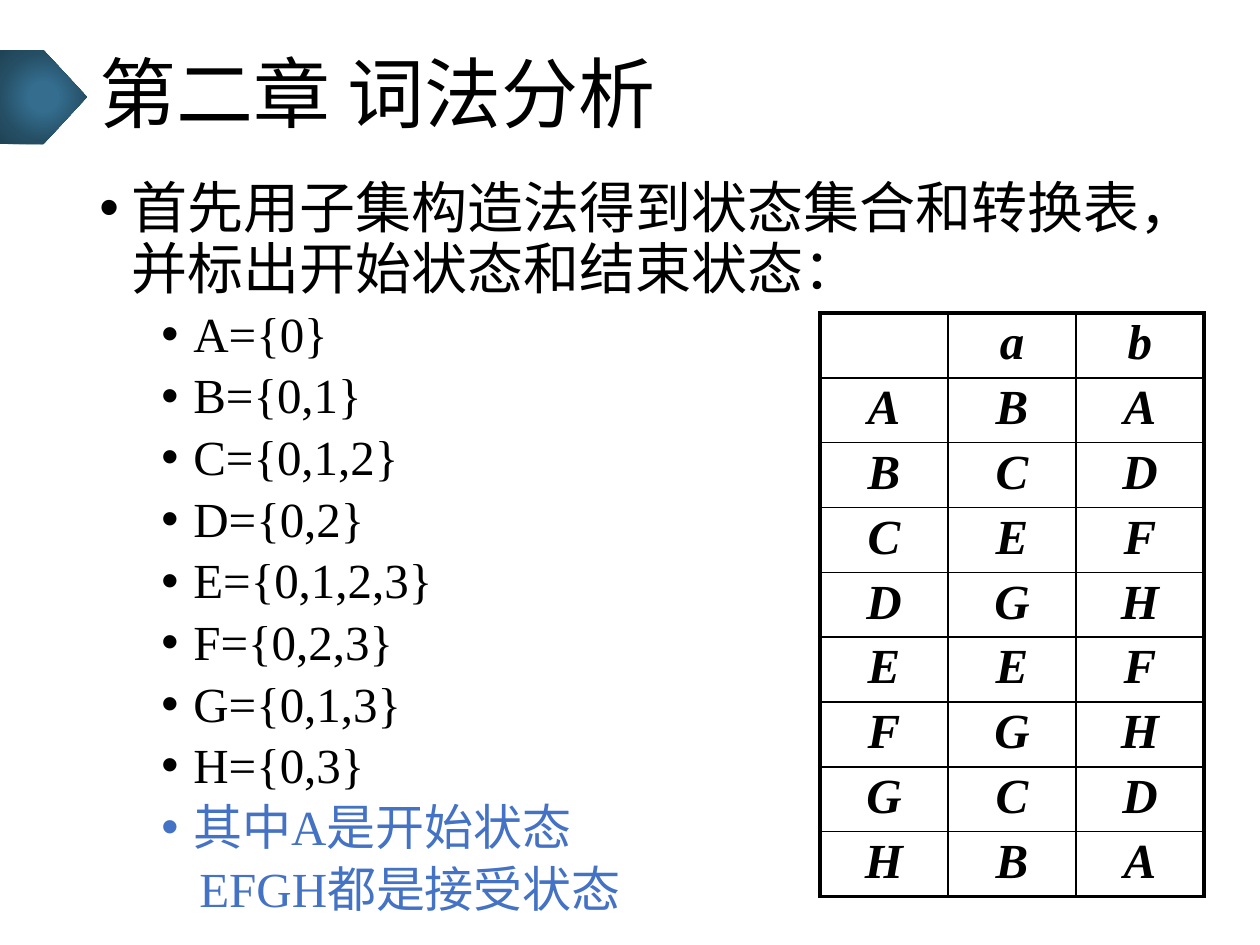
from dataclasses import dataclass

from lxml import etree
from pptx import Presentation
from pptx.dml.color import RGBColor
from pptx.enum.lang import MSO_LANGUAGE_ID
from pptx.enum.shapes import MSO_SHAPE
from pptx.enum.text import MSO_ANCHOR, MSO_AUTO_SIZE, PP_ALIGN
from pptx.oxml.ns import qn
from pptx.util import Emu, Pt

HOME_PLATE = MSO_SHAPE.PENTAGON
LEFT, CENTER = PP_ALIGN.LEFT, PP_ALIGN.CENTER
MIDDLE = MSO_ANCHOR.MIDDLE
NO_AUTOFIT = MSO_AUTO_SIZE.NONE
CHINESE = MSO_LANGUAGE_ID.SIMPLIFIED_CHINESE

PX_PER_INCH = 126
FONT = "Times New Roman"
COLORS = {
    "text": "000000",
    "accent": "4472C4",
    "arrow_core": "346D8E",
    "arrow_mid": "254E64",
    "arrow_edge": "204457",
}
ARROW_STOPS = [(0, "arrow_core"), (23, "arrow_core"), (69, "arrow_mid"), (97, "arrow_edge")]


@dataclass
class Box:
    x: int
    y: int
    w: int
    h: int


@dataclass
class Item:
    text: str
    size: int = 28
    color: str = "text"
    margin: int = 94
    bullet: bool = True
    before: int = 5


STATE_SETS = ["A={0}", "B={0,1}", "C={0,1,2}", "D={0,2}",
              "E={0,1,2,3}", "F={0,2,3}", "G={0,1,3}", "H={0,3}"]
ITEMS = [
    Item("首先用子集构造法得到状态集合和转换表，并标出开始状态和结束状态：", 32, margin=32, before=0),
    *[Item(s) for s in STATE_SETS],
    Item("其中A是开始状态", color="accent"),
    Item("EFGH都是接受状态", color="accent", margin=100, bullet=False),
]
TRANSITIONS = [" ab", "ABA", "BCD", "CEF", "DGH", "EEF", "FGH", "GCD", "HBA"]


def px(n: int) -> Emu:
    return Emu(round(n * 914400 / PX_PER_INCH))


def place(box: Box) -> tuple[Emu, Emu, Emu, Emu]:
    return px(box.x), px(box.y), px(box.w), px(box.h)


def style(p, size: int, color: str, bold: bool = False, italic: bool = False) -> None:
    for r in p.runs:
        r.font.name = FONT
        r.font.size = Pt(size)
        r.font.bold = bold
        r.font.italic = italic
        r.font.color.rgb = RGBColor.from_string(COLORS[color])
        r.font.language_id = CHINESE


def add_arrow(slide, box: Box) -> None:
    sp = slide.shapes.add_shape(HOME_PLATE, *place(box))
    sp.shadow.inherit = False
    sp.line.fill.background()
    sp.fill.gradient()
    grad = sp._element.spPr.find(qn("a:gradFill"))
    for child in list(grad):
        grad.remove(child)
    stops = etree.SubElement(grad, qn("a:gsLst"))
    for pos, color in ARROW_STOPS:
        stop = etree.SubElement(stops, qn("a:gs"), pos=str(pos * 1000))
        etree.SubElement(stop, qn("a:srgbClr"), val=COLORS[color])
    circle = etree.SubElement(grad, qn("a:path"), path="circle")
    etree.SubElement(circle, qn("a:fillToRect"), l="50000", t="50000", r="50000", b="50000")


def set_title(slide, box: Box, text: str) -> None:
    sp = slide.shapes.title
    sp.left, sp.top, sp.width, sp.height = place(box)
    tf = sp.text_frame
    tf.text = text
    tf.auto_size = NO_AUTOFIT
    tf.vertical_anchor = MIDDLE
    p = tf.paragraphs[0]
    p.alignment = LEFT
    p.line_spacing = 0.9
    style(p, 44, "text")


def add_items(slide, box: Box, items: list[Item]) -> None:
    tf = slide.shapes.add_textbox(*place(box)).text_frame
    tf.word_wrap = True
    for i, item in enumerate(items):
        p = tf.add_paragraph() if i else tf.paragraphs[0]
        p.text = item.text
        p.line_spacing = 0.9
        p.space_before = Pt(item.before)
        pPr = p._p.get_or_add_pPr()
        pPr.set("marL", str(px(item.margin)))
        pPr.set("indent", str(-px(32) if item.bullet else 0))
        if item.bullet:
            etree.SubElement(pPr, qn("a:buFont"), typeface="Arial")
            etree.SubElement(pPr, qn("a:buChar"), char="•")
        else:
            etree.SubElement(pPr, qn("a:buNone"))
        style(p, item.size, item.color)


def set_borders(cell, widths: dict[str, float]) -> None:
    tcPr = cell._tc.get_or_add_tcPr()
    for i, (side, width) in enumerate(widths.items()):
        ln = etree.Element(qn(f"a:ln{side}"), w=str(Pt(width)))
        fill = etree.SubElement(ln, qn("a:solidFill"))
        etree.SubElement(fill, qn("a:srgbClr"), val=COLORS["text"])
        tcPr.insert(i, ln)


def add_transitions(slide, box: Box, rows: list[str]) -> None:
    n_rows, n_cols = len(rows), len(rows[0])
    table = slide.shapes.add_table(n_rows, n_cols, *place(box)).table
    table.first_row = table.horz_banding = False
    for i, row in enumerate(rows):
        for j, symbol in enumerate(row):
            cell = table.cell(i, j)
            cell.text = symbol.strip()
            cell.margin_left = cell.margin_right = px(8)
            cell.margin_top = cell.margin_bottom = px(3)
            cell.fill.background()
            outer = {"L": j == 0, "R": j == n_cols - 1, "T": i == 0, "B": i == n_rows - 1}
            set_borders(cell, {side: 2.25 if edge else 1 for side, edge in outer.items()})
            p = cell.text_frame.paragraphs[0]
            p.alignment = CENTER
            style(p, 28, "text", bold=True, italic=True)


def main() -> None:
    prs = Presentation()
    prs.slide_width, prs.slide_height = px(1260), px(945)
    slide = prs.slides.add_slide(prs.slide_layouts[5])
    add_arrow(slide, Box(0, 50, 87, 94))
    set_title(slide, Box(87, 32, 1086, 131), "第二章 词法分析")
    add_items(slide, Box(87, 174, 1086, 753), ITEMS)
    add_transitions(slide, Box(820, 313, 384, 558), TRANSITIONS)
    prs.save("out.pptx")


if __name__ == "__main__":
    main()
